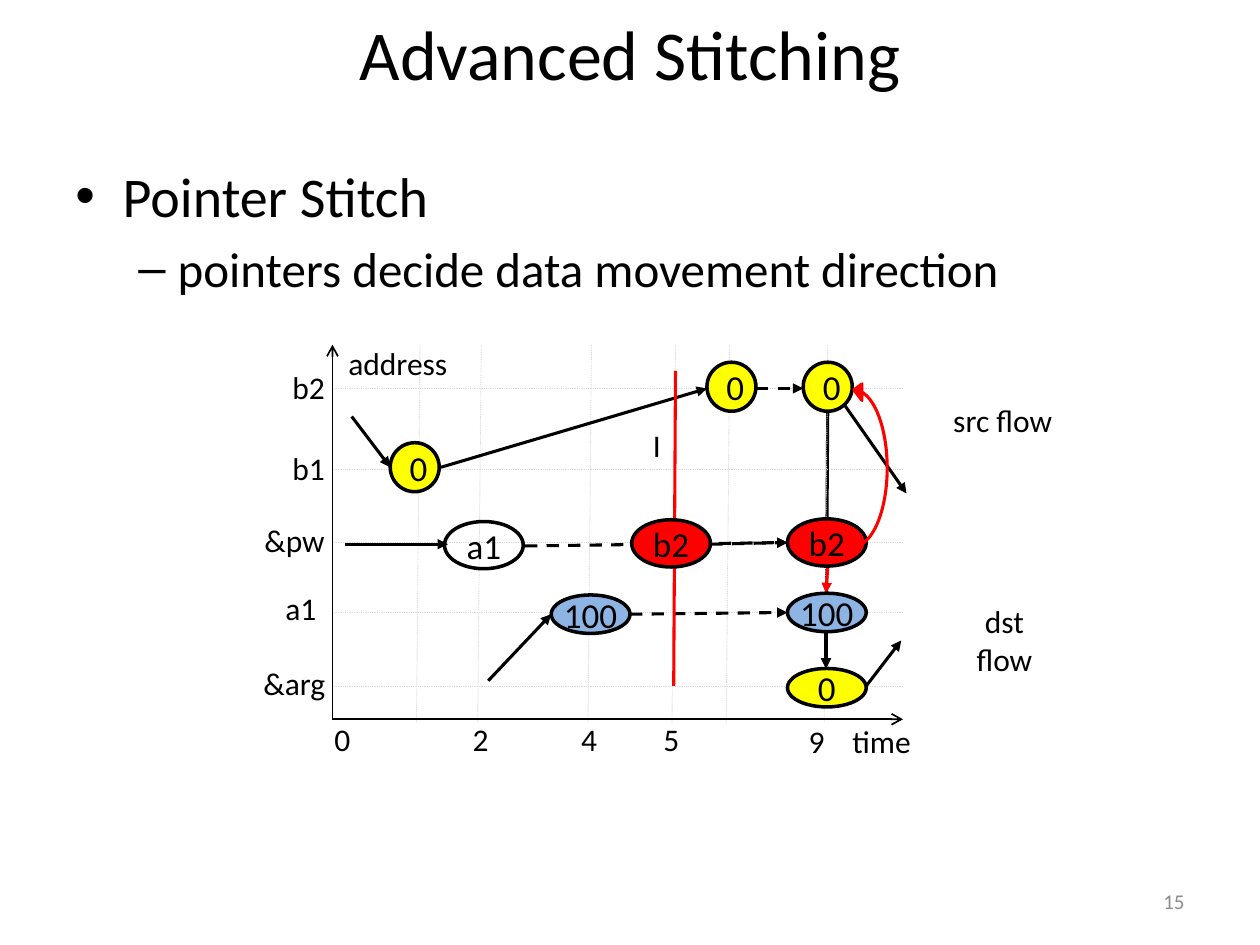
from lxml import etree
from pptx import Presentation
from pptx.dml.color import RGBColor
from pptx.enum import dml, shapes, text
from pptx.oxml import ns
from pptx.util import Pt

BLACK, RED, YELLOW, BLUE, GRAY = "000000", "FF0000", "FFFF00", "8EB4E3", "D9D9D9"
DASH, DOT = dml.MSO_LINE.DASH, dml.MSO_LINE.ROUND_DOT
LEFT, MID, RIGHT = text.PP_ALIGN.LEFT, text.PP_ALIGN.CENTER, text.PP_ALIGN.RIGHT


def color(code):
    return RGBColor.from_string(code)


def style(par, size, code=BLACK, align=LEFT):
    par.alignment = align
    for run in par.runs:
        run.font.name = "Calibri"
        run.font.size = Pt(size)
        run.font.color.rgb = color(code)


def write(slide, words, x, y, w, h, size, code=BLACK, align=LEFT, mid=False):
    frame = slide.shapes.add_textbox(Pt(x), Pt(y), Pt(w), Pt(h)).text_frame
    frame.word_wrap = True
    if mid:
        frame.vertical_anchor = text.MSO_ANCHOR.MIDDLE
    frame.text = words
    for par in frame.paragraphs:
        style(par, size, code, align)
    return frame


def draw(slide, x, y, start, end, code=BLACK, width=1.75, dash=None, head="triangle"):
    ends = [Pt(n) for n in (x + start[0], y + start[1], x + end[0], y + end[1])]
    link = slide.shapes.add_connector(shapes.MSO_CONNECTOR.STRAIGHT, *ends)
    link.line.color.rgb = color(code)
    link.line.width = Pt(width)
    if dash:
        link.line.dash_style = dash
    if head:
        etree.SubElement(link.line._get_or_add_ln(), ns.qn("a:tailEnd"), type=head)
    etree.SubElement(link._element.spPr, ns.qn("a:effectLst"))


def paint(shape, fill, line, width):
    shape.shadow.inherit = False
    if fill:
        shape.fill.solid()
        shape.fill.fore_color.rgb = color(fill)
    else:
        shape.fill.background()
    shape.line.color.rgb = color(line)
    shape.line.width = Pt(width)


def clear(frame):
    frame.margin_left = frame.margin_right = 0
    frame.margin_top = frame.margin_bottom = 0


def node(slide, words, x, y, w, h, fill):
    oval = slide.shapes.add_shape(shapes.MSO_SHAPE.OVAL, Pt(x), Pt(y), Pt(w), Pt(h))
    paint(oval, fill, BLACK, 2)
    frame = oval.text_frame
    frame.text = words
    frame.vertical_anchor = text.MSO_ANCHOR.MIDDLE
    if w != h:
        clear(frame)
        frame.word_wrap = h != 27
    style(frame.paragraphs[0], 20, BLACK, MID)


def points(slide, x, y, w, h):
    frame = write(slide, "Pointer Stitch\npointers decide data movement direction", x, y, w, h, 32)
    looks = [("•", 27, 27, 32), ("–", 58.5, 22.5, 28)]
    for par, (mark, left, hang, size) in zip(frame.paragraphs, looks):
        style(par, size)
        par.space_before = Pt(size * 0.2)
        props = par._p.get_or_add_pPr()
        props.set("marL", str(Pt(left)))
        props.set("indent", str(-Pt(hang)))
        etree.SubElement(props, ns.qn("a:buFont"), typeface="Arial")
        etree.SubElement(props, ns.qn("a:buChar"), char=mark)


def grid(slide, x, y, w, h):
    for row in (25, 71, 113, 153, 195):
        draw(slide, x, y, (0, row), (w, row), GRAY, 0.5, DOT, None)
    for col in (50, 85, 148, 196, 227, 283):
        draw(slide, x, y, (col, 0), (col - 2, h + 2), GRAY, 0.5, DOT, None)
    for end in ((w, h), (0, 0)):
        draw(slide, x, y, (0, h), end, BLACK, 1, None, "arrow")


def flows(slide, x, y):
    solid = [
        ((62, 70), (214, 25)), ((11, 41), (33, 70)), ((7, 114), (66, 114)),
        ((293, 35), (328, 85)), ((305, 195), (325, 169)), ((89, 192), (125, 154)),
        ((282, 164), (282, 185)),
    ]
    dashed = [
        ((110, 115), (260, 113)), ((216, 114), (260, 113)),
        ((242, 25), (269, 25)), ((170, 154), (260, 153)),
    ]
    for start, end in solid:
        draw(slide, x, y, start, end)
    for start, end in dashed:
        draw(slide, x, y, start, end, dash=DASH)
    draw(slide, x, y, (283, 127), (282, 142), RED)
    draw(slide, x, y, (195, 195), (196, 15), RED, head=None)


def nodes(slide, x, y):
    for left, top in ((33, 56), (214, 10), (269, 10)):
        node(slide, "0", x + left, y + top, 28, 28, YELLOW)
    ovals = [
        ("a1", 64, 101, 27, None), ("b2", 171, 100, 27, RED), ("b2", 260, 99.5, 27, RED),
        ("100", 125, 143, 22, BLUE), ("100", 260, 142, 22, BLUE), ("0", 260, 185, 22, YELLOW),
    ]
    for words, left, top, high, fill in ovals:
        node(slide, words, x + left, y + top, 45, high, fill)


def bend(slide, x, y, w, h):
    kind = shapes.MSO_SHAPE.CURVED_LEFT_ARROW
    arrow = slide.shapes.add_shape(kind, Pt(x), Pt(y), Pt(w), Pt(h))
    for spot, value in enumerate((0, 0.5, 0.24)):
        arrow.adjustments[spot] = value
    paint(arrow, RED, RED, 1.75)
    arrow.rotation = 180
    arrow._element.spPr.xfrm.set("flipH", "1")


def labels(slide, x, y):
    marks = [
        ("address", 2, -4, 86), ("b2", -30, 10, 34), ("b1", -30, 56, 34),
        ("&pw", -46, 97, 50), ("a1", -34, 136, 50), ("0", -6, 211, 45),
        ("2", 73, 211, 22), ("4", 135, 211, 22), ("5", 182, 211, 22),
        ("9", 265, 212, 22), ("time", 290, 212, 54), ("I", 176, 43, 24),
    ]
    for words, left, top, wide in marks:
        write(slide, words, x + left, y + top, wide, 29, 18)
    write(slide, "&arg", x - 52, y + 179, 55, 29, 18, align=RIGHT)
    for words, left, top in (("src flow", 354, 32), ("dst flow", 355, 147)):
        frame = write(slide, words, x + left, y + top, 58, 22, 18, align=MID)
        clear(frame)
        frame.word_wrap = False


def graph(slide, x, y, w, h):
    draw(slide, x, y, (283, 39), (282, 185))
    grid(slide, x, y, w, h)
    flows(slide, x, y)
    nodes(slide, x, y)
    bend(slide, x + 298, y + 21, 19, 94)
    labels(slide, x, y)


def main():
    deck = Presentation()
    deck.slide_width, deck.slide_height = Pt(720), Pt(540)
    slide = deck.slides.add_slide(deck.slide_layouts[6])
    write(slide, "Advanced Stitching", 36, 0, 648, 60, 40, align=MID, mid=True)
    points(slide, 36, 88.5, 648, 356)
    graph(slide, 190, 197, 326, 214)
    write(slide, "15", 516, 500.5, 168, 29, 12, "8C8C8C", RIGHT, True)
    deck.save("out.pptx")


if __name__ == "__main__":
    main()
